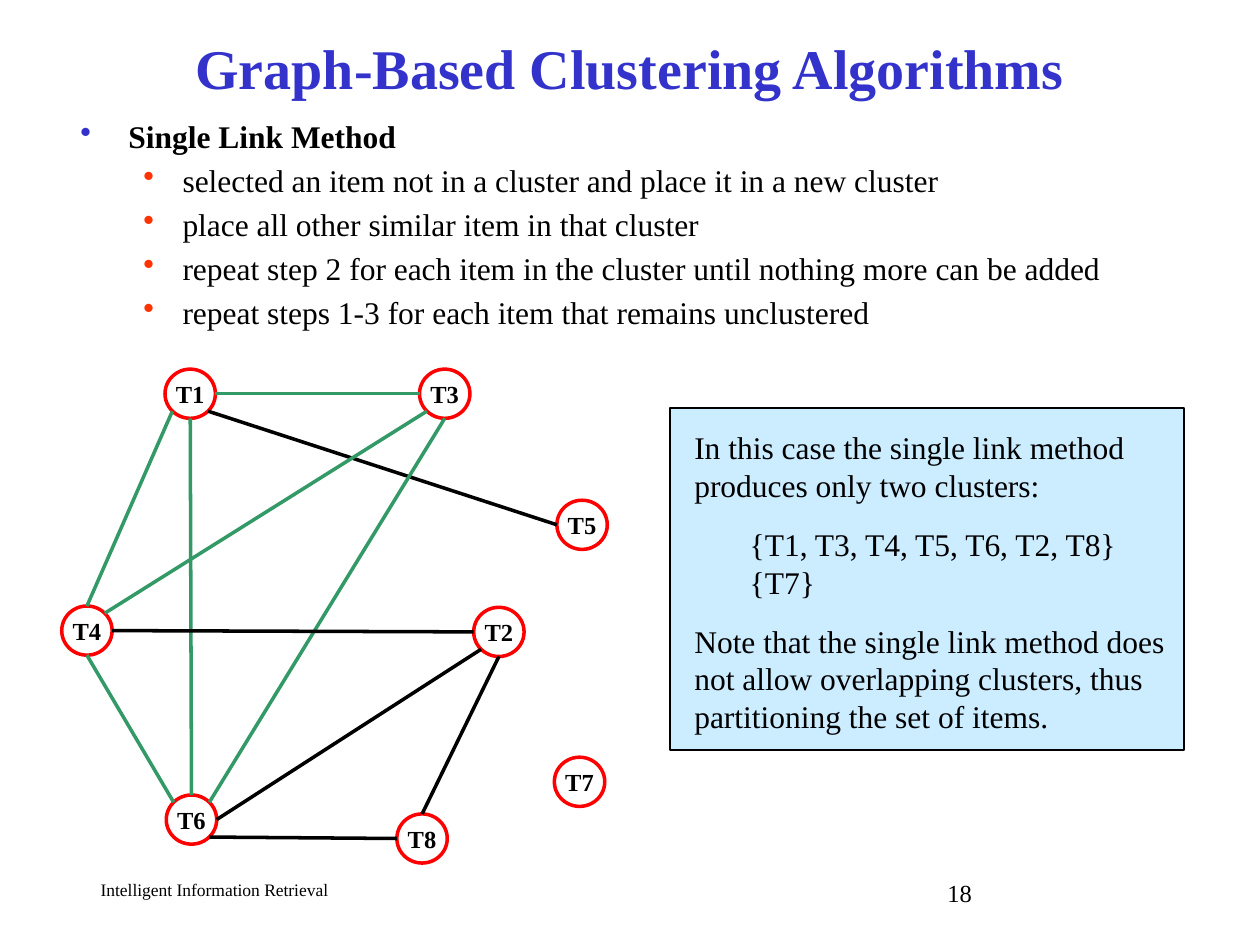
"""Build a slide on the single link method of graph-based clustering."""
from lxml import etree
from pptx import Presentation
from pptx.dml.color import RGBColor
from pptx.enum.shapes import MSO_CONNECTOR, MSO_SHAPE
from pptx.enum.text import MSO_ANCHOR, PP_ALIGN
from pptx.oxml.ns import qn
from pptx.util import Inches, Pt

LINE = MSO_CONNECTOR.STRAIGHT
RECT, OVAL = MSO_SHAPE.RECTANGLE, MSO_SHAPE.OVAL
TOP, MIDDLE = MSO_ANCHOR.TOP, MSO_ANCHOR.MIDDLE
LEFT, CENTER = PP_ALIGN.LEFT, PP_ALIGN.CENTER
FONT = "Times New Roman"
HUES = {"black": "000000", "blue": "3333CC", "orange": "FF3300",
        "red": "FF0000", "green": "339966", "pale": "CCECFF"}
COLOR = {name: RGBColor.from_string(code) for name, code in HUES.items()}

deck = Presentation()
deck.slide_width, deck.slide_height = Inches(10), Inches(7.5)
COL, ROW = deck.slide_width / 100, deck.slide_height / 75
slide = deck.slides.add_slide(deck.slide_layouts[6])
shapes = slide.shapes


def place(x, y, wide, high):
    return [round(n) for n in (x * COL, y * ROW, wide * COL, high * ROW)]


def write(shape, lines, size, color="black", bold=False, align=LEFT, anchor=TOP):
    frame = shape.text_frame
    frame.word_wrap = True
    frame.vertical_anchor = anchor
    frame.text = "\n".join(lines)
    for para in frame.paragraphs:
        para.alignment = align
        font = para.runs[0].font
        font.name, font.size, font.bold = FONT, Pt(size), bold
        font.color.rgb = COLOR[color]
    return frame


foot = shapes.add_textbox(*place(7, 69.3, 37.5, 2.5))
write(foot, ["Intelligent Information Retrieval"], 10)
page = shapes.add_textbox(*place(74.2, 69.2, 20.8, 2.5))
write(page, ["18"], 14)
title = shapes.add_textbox(*place(7.5, 2.5, 85, 5.6))
write(title, ["Graph-Based Clustering Algorithms"], 32, "blue", True, CENTER, MIDDLE)

steps = ["Single Link Method",
         "selected an item not in a cluster and place it in a new cluster",
         "place all other similar item in that cluster",
         "repeat step 2 for each item in the cluster until nothing more can be added",
         "repeat steps 1-3 for each item that remains unclustered"]
body = shapes.add_textbox(*place(5.4, 8.8, 87.1, 18.8))
for rank, para in enumerate(write(body, steps, 18).paragraphs):
    head = rank == 0
    para.level = 0 if head else 1
    para.runs[0].font.bold = head
    para.line_spacing, para.space_before = Pt(21.6), Pt(3.6)
    props = para._p.get_or_add_pPr()
    props.set("marL", str(Inches(0.38 if head else 0.81)))
    props.set("indent", str(Inches(-0.38 if head else -0.31)))
    tint = etree.SubElement(props, qn("a:buClr"))
    etree.SubElement(tint, qn("a:srgbClr"), val=HUES["blue" if head else "orange"])
    etree.SubElement(props, qn("a:buChar"), char="•")

notes = ["In this case the single link method produces only two clusters:",
         "{T1, T3, T4, T5, T6, T2, T8}",
         "{T7}",
         "Note that the single link method does not allow overlapping clusters, "
         "thus partitioning the set of items."]
panel = shapes.add_shape(RECT, *place(53.2, 32.4, 40.8, 27.1))
panel.shadow.inherit = False
panel.fill.solid()
panel.fill.fore_color.rgb = COLOR["pale"]
panel.line.color.rgb = COLOR["black"]
panel.line.width = Pt(1)
frame = write(panel, notes, 18)
frame.margin_left, frame.margin_right = Inches(0.19), Inches(0.06)
frame.margin_top = Inches(0.16)
for para, gap in zip(frame.paragraphs, (0, 12, 0, 12)):
    para.line_spacing, para.space_before = Pt(21.6), Pt(gap)
    if para.text.startswith("{"):
        para._p.get_or_add_pPr().set("marL", str(Inches(0.44)))

WIDE, HIGH = 4, 3.9
nodes = {"T1": (15.1, 31.25), "T3": (35.3, 31.25), "T4": (6.9, 50.05),
         "T6": (15.2, 65.05), "T8": (33.5, 66.55), "T5": (46.2, 41.65),
         "T2": (39.6, 50.15), "T7": (46, 62.05)}
for name, (x, y) in nodes.items():
    node = shapes.add_shape(OVAL, *place(x - WIDE / 2, y - HIGH / 2, WIDE, HIGH))
    node.shadow.inherit = False
    node.fill.background()
    node.line.color.rgb = COLOR["red"]
    node.line.width = Pt(2)
    frame = write(node, [name], 14, "black", True, CENTER, MIDDLE)
    frame.margin_left = frame.margin_right = 0
    frame.margin_top = frame.margin_bottom = 0
    frame.word_wrap = False

DIAG = 0.71
sides = {"n": (0, -1), "s": (0, 1), "w": (-1, 0), "e": (1, 0),
         "nw": (-DIAG, -DIAG), "ne": (DIAG, -DIAG),
         "sw": (-DIAG, DIAG), "se": (DIAG, DIAG)}
edges = [("T1", "sw", "T4", "n", "green"), ("T1", "e", "T3", "w", "green"),
         ("T1", "s", "T6", "n", "green"), ("T1", "se", "T5", "w", "black"),
         ("T3", "sw", "T4", "ne", "green"), ("T4", "s", "T6", "nw", "green"),
         ("T3", "s", "T6", "ne", "green"), ("T4", "e", "T2", "w", "black"),
         ("T2", "s", "T8", "n", "black"), ("T6", "se", "T8", "w", "black"),
         ("T2", "sw", "T6", "e", "black")]
for start, out, end, into, color in edges:
    ends = []
    for name, side in ((start, out), (end, into)):
        (x, y), (dx, dy) = nodes[name], sides[side]
        ends += [x + dx * WIDE / 2, y + dy * HIGH / 2]
    edge = shapes.add_connector(LINE, *place(*ends))
    edge.line.color.rgb = COLOR[color]
    edge.line.width = Pt(2)
    etree.SubElement(edge._element.spPr, qn("a:effectLst"))

deck.save("out.pptx")
